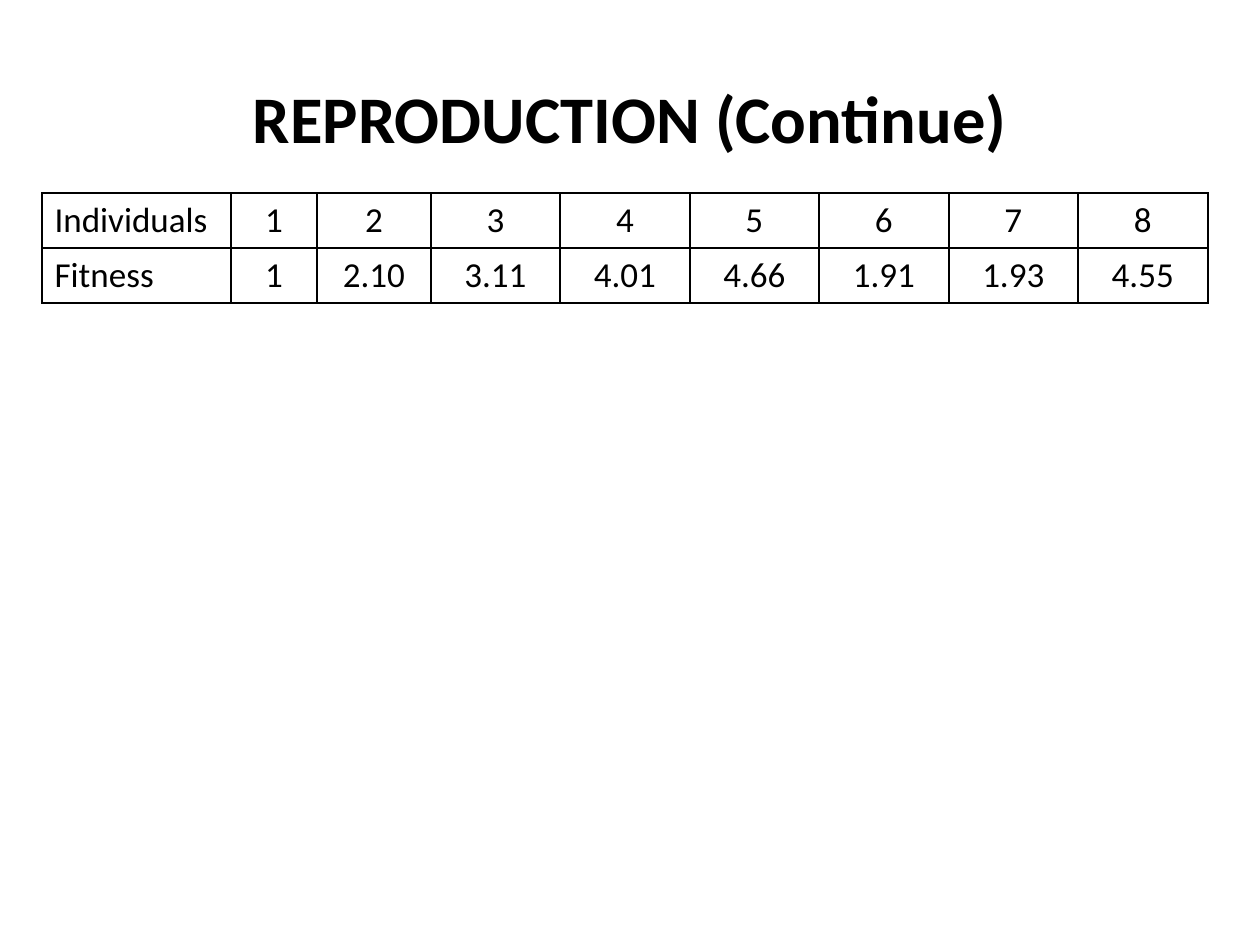
import pptx
import pptx.dml.color
import pptx.enum.text
import pptx.oxml
import pptx.oxml.ns
import pptx.util

PX = 914400 // 126
BLACK = "000000"
ALIGN = pptx.enum.text.PP_ALIGN
MIDDLE = pptx.enum.text.MSO_ANCHOR.MIDDLE


def write(frame, text, size, align, bold=False):
    """Put one styled run into the first paragraph of a text frame."""
    para = frame.paragraphs[0]
    para.alignment = align
    run = para.add_run()
    run.text = text
    run.font.name = "Calibri"
    run.font.size = pptx.util.Pt(size)
    run.font.bold = bold
    run.font.color.rgb = pptx.dml.color.RGBColor.from_string(BLACK)


def outline(cell):
    """Draw a thin line on all four sides of a table cell."""
    props = cell._tc.get_or_add_tcPr()
    space = pptx.oxml.ns.nsdecls("a")
    for spot, side in enumerate(("lnL", "lnR", "lnT", "lnB")):
        props.insert(spot, pptx.oxml.parse_xml(
            f'<a:{side} {space} w="12700"><a:solidFill>'
            f'<a:srgbClr val="{BLACK}"/></a:solidFill></a:{side}>'))


deck = pptx.Presentation()
deck.slide_width = 1260 * PX
deck.slide_height = 945 * PX
slide = deck.slides.add_slide(deck.slide_layouts[6])

title = slide.shapes.add_textbox(63 * PX, 38 * PX, 1134 * PX, 158 * PX)
title.text_frame.word_wrap = True
title.text_frame.vertical_anchor = MIDDLE
write(title.text_frame, "REPRODUCTION (Continue)", 38, ALIGN.CENTER, True)

rows = [
    ["Individuals ", "1", "2", "3", "4", "5", "6", "7", "8"],
    ["Fitness", "1", "2.10", "3.11", "4.01", "4.66", "1.91", "1.93", "4.55"],
]
widths = [189, 86, 114] + [129, 130] * 3
high = 55
frame = slide.shapes.add_table(
    len(rows), len(widths), 42 * PX, 193 * PX,
    sum(widths) * PX, len(rows) * high * PX)
table = frame.table
table.first_row = False
table.horz_banding = False
for col, width in zip(table.columns, widths):
    col.width = width * PX

for r, row in enumerate(rows):
    table.rows[r].height = high * PX
    for c, text in enumerate(row):
        cell = table.cell(r, c)
        cell.fill.background()
        outline(cell)
        write(cell.text_frame, text, 20, ALIGN.CENTER if c else ALIGN.LEFT)

deck.save("out.pptx")
